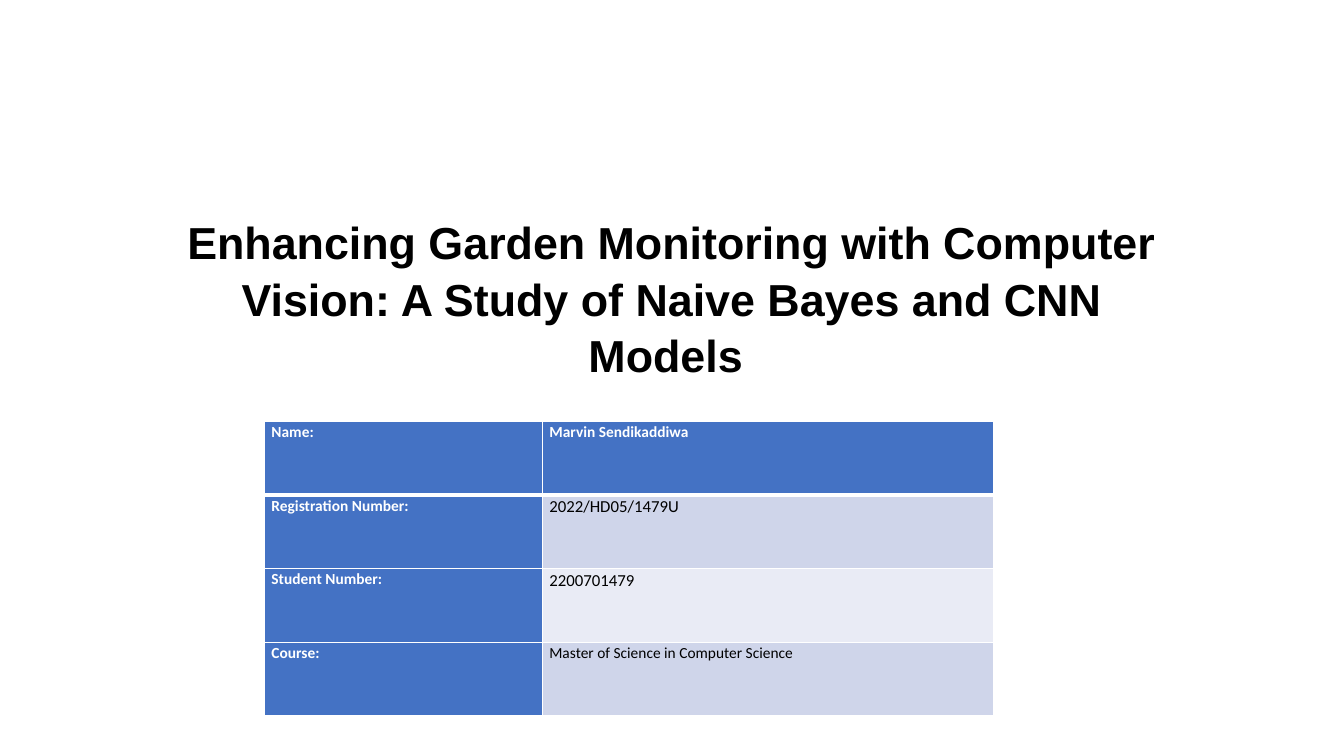
from lxml import etree
from pptx import Presentation
from pptx import util as u
from pptx.dml.color import RGBColor
from pptx.enum import text
from pptx.oxml.ns import qn

WHITE, BLACK, BLUE = "FFFFFF", "000000", "4472C4"
BANDS = ["CFD5EA", "E9EBF5"]
TITLE = "Enhancing Garden Monitoring with Computer\vVision: A Study of Naive Bayes and CNN Models "
DETAILS = [
    ("Name:", "Marvin Sendikaddiwa", 11),
    ("Registration Number:", "2022/HD05/1479U", 12),
    ("Student Number:", "2200701479", 12),
    ("Course:", "Master of Science in Computer Science", 11),
]


def color(value):
    return RGBColor.from_string(value)


def format_runs(para, font, size, ink, bold):
    for span in para.runs:
        span.font.name = font
        span.font.size = u.Pt(size)
        span.font.color.rgb = color(ink)
        span.font.bold = bold


def add_title(page, left, top, width, height):
    box = page.shapes.add_textbox(u.Pt(left), u.Pt(top), u.Pt(width), u.Pt(height))
    frame = box.text_frame
    frame.word_wrap = True
    frame.vertical_anchor = text.MSO_ANCHOR.BOTTOM
    para = frame.paragraphs[0]
    para.text = TITLE
    para.alignment = text.PP_ALIGN.CENTER
    para.line_spacing = 1.06
    format_runs(para, "Arial", 32, BLACK, True)


def add_borders(cell, widths):
    props = cell._tc.get_or_add_tcPr()
    for side, width in widths.items():
        line = etree.SubElement(props, qn(f"a:ln{side}"), w=str(u.Pt(width)))
        fill = etree.SubElement(line, qn("a:solidFill"))
        etree.SubElement(fill, qn("a:srgbClr"), val=WHITE)


def fill_cell(cell, words, size, ink, bold, background, borders):
    add_borders(cell, borders)
    cell.fill.solid()
    cell.fill.fore_color.rgb = color(background)
    cell.margin_left = cell.margin_right = u.Pt(5)
    cell.margin_top = cell.margin_bottom = 0
    para = cell.text_frame.paragraphs[0]
    para.text = words
    para.line_spacing = 1.07
    para.space_after = u.Pt(8)
    format_runs(para, "Calibri", size, ink, bold)


def add_details(page, left, top, width, height):
    frame = page.shapes.add_table(
        len(DETAILS), 2, u.Pt(left), u.Pt(top), u.Pt(width), u.Pt(height))
    table = frame.table
    label_width = 198.5
    table.columns[0].width = u.Pt(label_width)
    table.columns[1].width = u.Pt(width - label_width)
    for row, (label, value, size) in enumerate(DETAILS):
        header = row == 0
        table.rows[row].height = u.Pt(height / len(DETAILS))
        borders = {"L": 1, "R": 1, "T": 3 if row == 1 else 1, "B": 3 if header else 1}
        fill_cell(table.cell(row, 0), label, 11, WHITE, True, BLUE, borders)
        fill_cell(table.cell(row, 1), value, size, WHITE if header else BLACK, header,
                  BLUE if header else BANDS[(row - 1) % 2], borders)


def main():
    deck = Presentation()
    deck.slide_width, deck.slide_height = u.Pt(960), u.Pt(540)
    page = deck.slides.add_slide(deck.slide_layouts[6])
    add_title(page, 120, 88.4, 720, 188)
    add_details(page, 188.9, 301.2, 520.5, 210)
    deck.save("out.pptx")


if __name__ == "__main__":
    main()
